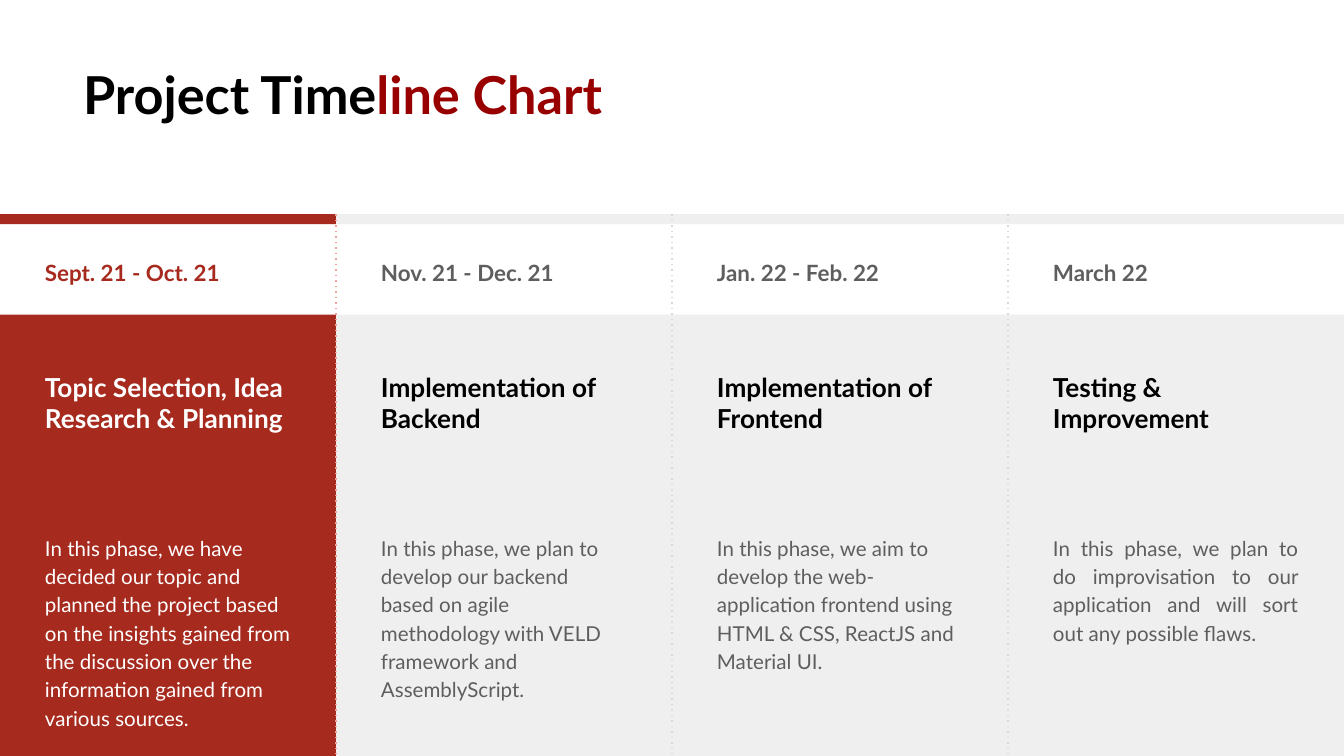
from dataclasses import dataclass

from lxml import etree
from pptx import Presentation
from pptx.dml.color import RGBColor
from pptx.enum.shapes import MSO_CONNECTOR as Connector, MSO_SHAPE as Shape
from pptx.enum.text import MSO_ANCHOR as Anchor, MSO_AUTO_SIZE as AutoSize, PP_ALIGN as Align
from pptx.oxml.ns import qn
from pptx.util import Cm, Pt

FONT = "Lato"
RED, DARK_RED, PINK = "A72A1E", "980000", "EDA29B"
PALE, RULE, GREY = "EFEFEF", "D9D9D9", "5E5E5E"
BLACK, WHITE = "000000", "FFFFFF"

# Layout in centimetres
COLUMN_WIDTH = 6.35
TEXT_INDENT = 0.6
BAR_TOP, BAR_HEIGHT = 4.05, 0.19
DATE_TOP, DATE_HEIGHT = 4.57, 0.94
PANEL_TOP, PANEL_HEIGHT = 5.95, 8.34
HEADING_TOP, HEADING_HEIGHT = 6.77, 2.87
BODY_TOP, BODY_HEIGHT = 9.81, 3.58
TEXT_WIDTH = 5.14
RULE_BOTTOM = 14.26


@dataclass
class Phase:
    date: str
    heading: str
    body: str
    date_width: float = 4.2
    heading_width: float = TEXT_WIDTH
    align: Align = Align.LEFT
    active: bool = False


PHASES = [
    Phase("Sept. 21 - Oct. 21", "Topic Selection, Idea Research & Planning",
          "In this phase, we have decided our topic and planned the project based on the "
          "insights gained from the discussion over the information gained from various sources.",
          active=True),
    Phase("Nov. 21 - Dec. 21", "Implementation of Backend",
          "In this phase, we plan to develop our backend based on agile methodology with "
          "VELD framework and AssemblyScript."),
    Phase("Jan. 22 - Feb. 22", "Implementation of Frontend",
          "In this phase, we aim to develop the web-application frontend using HTML & CSS, "
          "ReactJS and Material UI."),
    Phase("March 22", "Testing & Improvement",
          "In this phase, we plan to do improvisation to our application and will sort out "
          "any possible flaws.",
          date_width=2.41, heading_width=5.56, align=Align.JUSTIFY),
]


def color(value):
    return RGBColor.from_string(value)


def style_span(span, size, value, bold):
    span.font.name = FONT
    span.font.size = Pt(size)
    span.font.bold = bold
    span.font.color.rgb = color(value)


def set_insets(frame):
    frame.word_wrap = True
    frame.margin_left = frame.margin_right = Cm(0.25)
    frame.margin_top = frame.margin_bottom = Cm(0.25)


def add_block(page, left, top, width, height, fill):
    block = page.shapes.add_shape(Shape.RECTANGLE, Cm(left), Cm(top), Cm(width), Cm(height))
    block.shadow.inherit = False
    block.fill.solid()
    block.fill.fore_color.rgb = color(fill)
    block.line.fill.background()
    return block


def add_text(page, left, top, width, height, text, size, value,
             bold=False, spacing=1.0, after=0, align=Align.LEFT):
    box = page.shapes.add_textbox(Cm(left), Cm(top), Cm(width), Cm(height))
    set_insets(box.text_frame)
    box.text_frame.text = text
    para = box.text_frame.paragraphs[0]
    para.alignment = align
    para.line_spacing = spacing
    para.space_after = Pt(after)
    style_span(para.runs[0], size, value, bold)


def add_dotted_rule(page, x, value):
    rule = page.shapes.add_connector(Connector.STRAIGHT, Cm(x), Cm(BAR_TOP),
                                     Cm(x), Cm(RULE_BOTTOM))
    rule.line.color.rgb = color(value)
    rule.line.width = Pt(0.75)
    # The plain "dot" dash is not among the library's dash styles
    properties = rule._element.spPr
    etree.SubElement(properties.find(qn("a:ln")), qn("a:prstDash"), val="dot")
    etree.SubElement(properties, qn("a:effectLst"))


def add_title(page):
    title = add_block(page, 1.32, 0.92, 18.44, 1.7, WHITE)
    title.fill.background()
    title.line.color.rgb = color(WHITE)
    title.line.width = Pt(0.75)
    frame = title.text_frame
    set_insets(frame)
    frame.vertical_anchor = Anchor.TOP
    frame.auto_size = AutoSize.SHAPE_TO_FIT_TEXT
    para = frame.paragraphs[0]
    para.alignment = Align.LEFT
    for text, value in (("Project Time", BLACK), ("line Chart", DARK_RED)):
        span = para.add_run()
        span.text = text
        style_span(span, 28, value, True)


def add_phase(page, index, phase):
    left = index * COLUMN_WIDTH
    text_left = left + TEXT_INDENT
    if phase.active:
        fill, date_color, heading_color, body_color, rule_color = RED, RED, WHITE, WHITE, PINK
    else:
        fill, date_color, heading_color, body_color, rule_color = PALE, GREY, BLACK, GREY, RULE

    # Panel and top bar
    add_block(page, left, PANEL_TOP, COLUMN_WIDTH, PANEL_HEIGHT, fill)
    add_block(page, left, BAR_TOP, COLUMN_WIDTH, BAR_HEIGHT, fill)

    # Date, heading and description
    add_text(page, text_left, DATE_TOP, phase.date_width, DATE_HEIGHT,
             phase.date, 12, date_color, bold=True, spacing=1.15)
    add_text(page, text_left, HEADING_TOP, phase.heading_width, HEADING_HEIGHT,
             phase.heading, 14, heading_color, bold=True)
    add_text(page, text_left, BODY_TOP, TEXT_WIDTH, BODY_HEIGHT,
             phase.body, 11, body_color, spacing=1.15, after=16, align=phase.align)

    # Divider to the next phase
    if index < len(PHASES) - 1:
        add_dotted_rule(page, left + COLUMN_WIDTH, rule_color)


def main():
    deck = Presentation()
    deck.slide_width, deck.slide_height = Cm(25.4), Cm(14.29)
    page = deck.slides.add_slide(deck.slide_layouts[6])
    add_title(page)
    # Right to left, so each divider lies above the panel on its right
    for index, phase in reversed(list(enumerate(PHASES))):
        add_phase(page, index, phase)
    deck.save("out.pptx")


if __name__ == "__main__":
    main()
